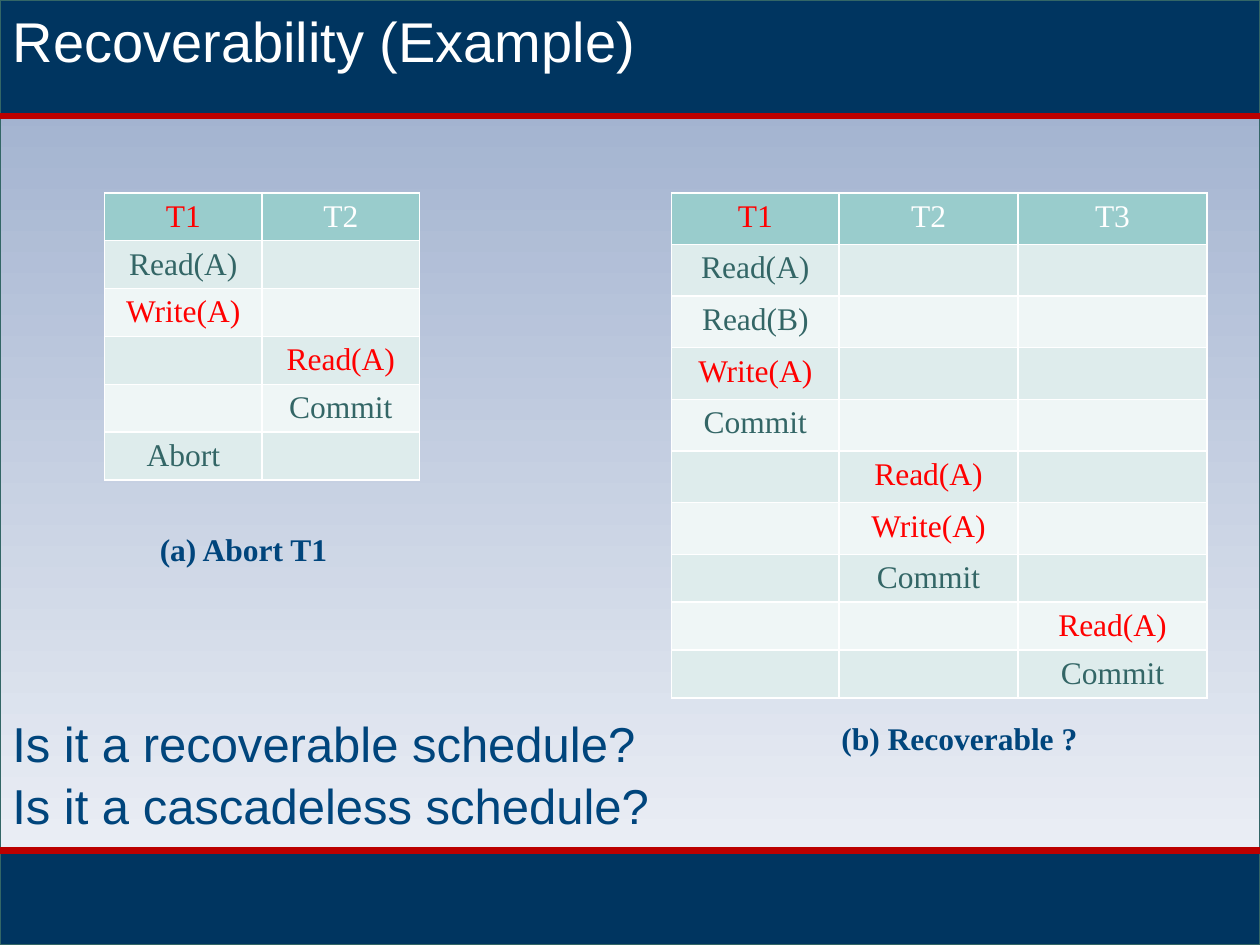
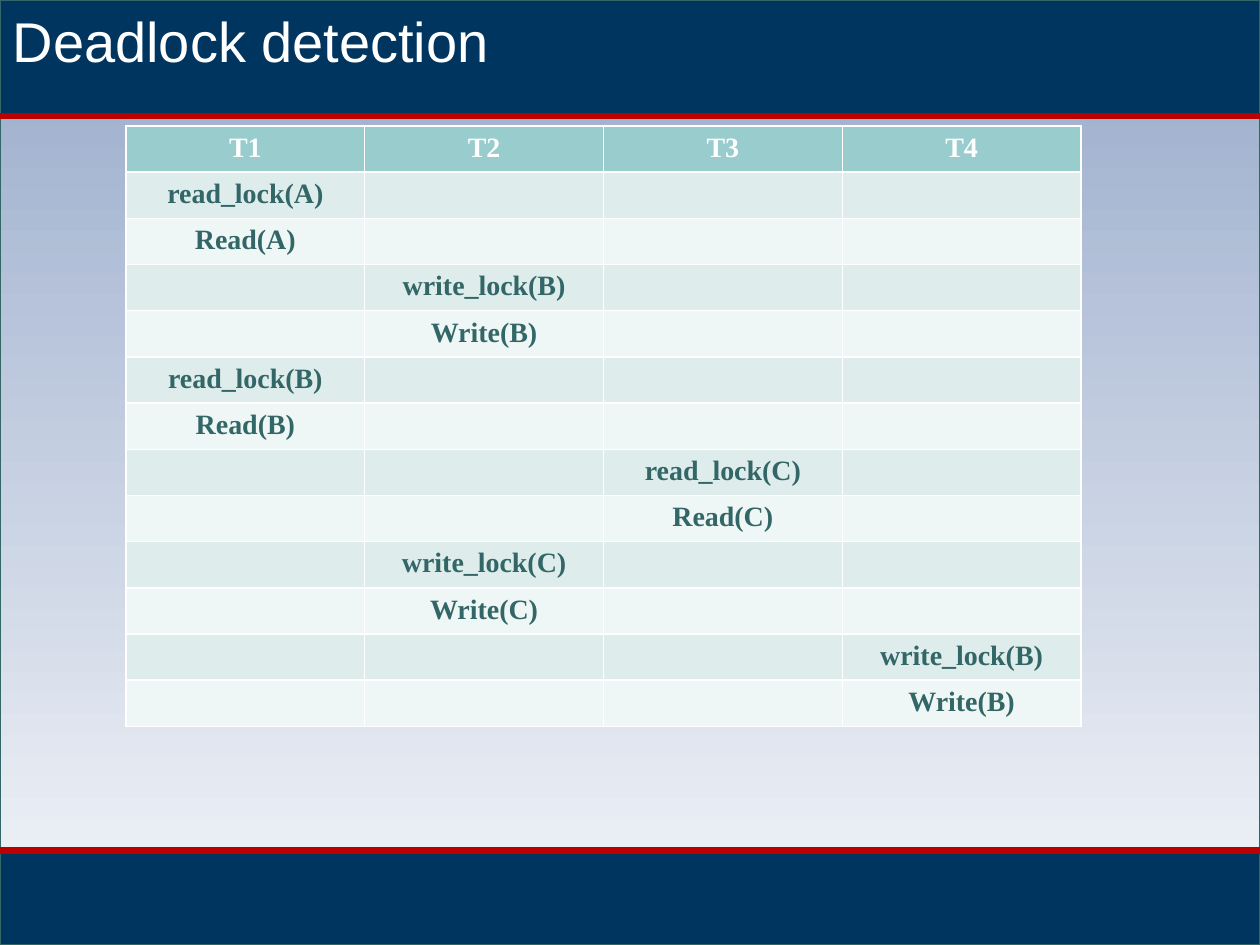
"""Two database slides: recoverable schedules and deadlock detection."""
import pptx
import pptx.util
import pptx.dml.color
import pptx.enum.shapes
import pptx.enum.text
import pptx.oxml

Inches, Pt = pptx.util.Inches, pptx.util.Pt
RGB = pptx.dml.color.RGBColor.from_string
RECT = pptx.enum.shapes.MSO_SHAPE.RECTANGLE
STRAIGHT = pptx.enum.shapes.MSO_CONNECTOR.STRAIGHT
ALIGN = pptx.enum.text.PP_ALIGN
TOP = pptx.enum.text.MSO_ANCHOR.TOP
NS = 'xmlns:a="http://schemas.openxmlformats.org/drawingml/2006/main"'
C = {"navy": "003560", "rule": "BC0000", "sky": "99ABCB", "mist": "F3F5F9",
     "teal": "336666", "head": "99CCCC", "odd": "DEECEC", "even": "EFF6F6",
     "red": "FF0000", "white": "FFFFFF", "blue": "00457C"}
SERIF, SANS = "Times New Roman", "Arial"


def style(p, name, size, color, bold=False, align=ALIGN.LEFT):
    p.alignment = align
    p.font.name, p.font.size, p.font.bold = name, Pt(size), bold
    p.font.color.rgb = RGB(C[color])


def add_schedule(s, left, top, widths, heights, red_heads, steps, size, bold):
    frame = s.shapes.add_table(len(heights), len(widths), Inches(left), Inches(top),
                               Inches(sum(widths)), Inches(sum(heights)))
    tbl = frame.table
    for col, width in zip(tbl.columns, widths):
        col.width = Inches(width)
    for row, height in zip(tbl.rows, heights):
        row.height = Inches(height)
    for i, row in enumerate(tbl.rows):
        for j, cell in enumerate(row.cells):
            text, color = "", "teal"
            if i == 0:
                text = f"T{j + 1}"
                color = "red" if text in red_heads else "white"
            elif steps[i - 1][0] == j + 1:
                text = steps[i - 1][1]
                color = "red" if len(steps[i - 1]) == 3 else "teal"
            cell.text = text
            cell.margin_top, cell.margin_bottom = Inches(0.05), 0
            cell.vertical_anchor = TOP
            style(cell.text_frame.paragraphs[0], SERIF, size, color, bold, ALIGN.CENTER)
            cell.fill.solid()
            cell.fill.fore_color.rgb = RGB(C["head" if i == 0 else "odd" if i % 2 else "even"])
            tcPr = cell._tc.get_or_add_tcPr()
            for k, side in enumerate("LRTB"):
                tcPr.insert(k, pptx.oxml.parse_xml(
                    f'<a:ln{side} {NS} w="12700"><a:solidFill><a:srgbClr val="{C["white"]}"/>'
                    f'</a:solidFill></a:ln{side}>'))


prs = pptx.Presentation()
prs.slide_width, prs.slide_height = Inches(10), Inches(7.5)
layout = prs.slide_layouts[5]
title = layout.placeholders[0]
title.left, title.top, title.width, title.height = 0, 0, Inches(10), Inches(0.64)

slides = []
for heading in ("Recoverability (Example)", "Deadlock detection"):
    s = prs.slides.add_slide(layout)
    tf = s.shapes.title.text_frame
    tf.text = heading
    tf.vertical_anchor = TOP
    tf.auto_size = pptx.enum.text.MSO_AUTO_SIZE.NONE
    style(tf.paragraphs[0], SANS, 32, "white")
    slides.append(s)
s1, s2 = slides

decor = []
for y, h in ((0, 7.5), (6.75, 0.75), (0, 0.92)):
    sp = s1.shapes.add_shape(RECT, 0, Inches(y), Inches(10), Inches(h))
    sp.shadow.inherit = False
    sp.line.color.rgb, sp.line.width = RGB(C["teal"]), Pt(0.75)
    sp.fill.solid()
    sp.fill.fore_color.rgb = RGB(C["navy"])
    decor.append(sp)
backdrop = decor[0].fill
backdrop.gradient()
backdrop.gradient_angle = 270
for stop, color, position in zip(backdrop.gradient_stops, ("sky", "mist"), (0, 1)):
    stop.color.rgb, stop.position = RGB(C[color]), position
for y in (0.92, 6.75):
    rule = s1.shapes.add_connector(STRAIGHT, 0, Inches(y), Inches(10), Inches(y))
    rule.line.color.rgb, rule.line.width = RGB(C["rule"]), Pt(3.75)
    rule.element.spPr.append(pptx.oxml.parse_xml(f"<a:effectLst {NS}/>"))
    decor.append(rule)
for i, sp in enumerate(decor):
    sp.element.xpath(".//p:cNvPr")[0].set("id", str(20 + i))
    layout.shapes.element.insert(2 + i, sp.element)

add_schedule(s1, 0.83, 1.53, [1.25] * 2, [0.38] * 6, ["T1"],
             [(1, "Read(A)"), (1, "Write(A)", "red"), (2, "Read(A)", "red"),
              (2, "Commit"), (1, "Abort")], 18, False)
add_schedule(s1, 5.33, 1.53, [1.33, 1.42, 1.5], [0.41] * 7 + [0.38] * 3, ["T1"],
             [(1, "Read(A)"), (1, "Read(B)"), (1, "Write(A)", "red"), (1, "Commit"),
              (2, "Read(A)", "red"), (2, "Write(A)", "red"), (2, "Commit"),
              (3, "Read(A)", "red"), (3, "Commit")], 18, False)
for x, y, w, h, lines, name, size, bold in (
        (0, 5.59, 5.47, 1.04, ("Is it a recoverable schedule?", "Is it a cascadeless schedule?"),
         SANS, 28, False),
        (1.17, 4.16, 2.07, 0.5, ("(a) Abort T1",), SERIF, 18, True),
        (6.58, 5.66, 2.1, 0.4, ("(b) Recoverable ?",), SERIF, 18, True)):
    tf = s1.shapes.add_textbox(Inches(x), Inches(y), Inches(w), Inches(h)).text_frame
    tf.word_wrap = True
    tf.text = "\n".join(lines)
    for p in tf.paragraphs:
        style(p, name, size, "blue", bold)
        p.line_spacing = 1.05 if len(lines) > 1 else 1.0

add_schedule(s2, 1, 1, [7.58 / 4] * 4, [4.77 / 13] * 13, [],
             [(1, "read_lock(A)"), (1, "Read(A)"), (2, "write_lock(B)"), (2, "Write(B)"),
              (1, "read_lock(B)"), (1, "Read(B)"), (3, "read_lock(C)"), (3, "Read(C)"),
              (2, "write_lock(C)"), (2, "Write(C)"), (4, "write_lock(B)"), (4, "Write(B)")],
             16, True)

prs.save("out.pptx")
